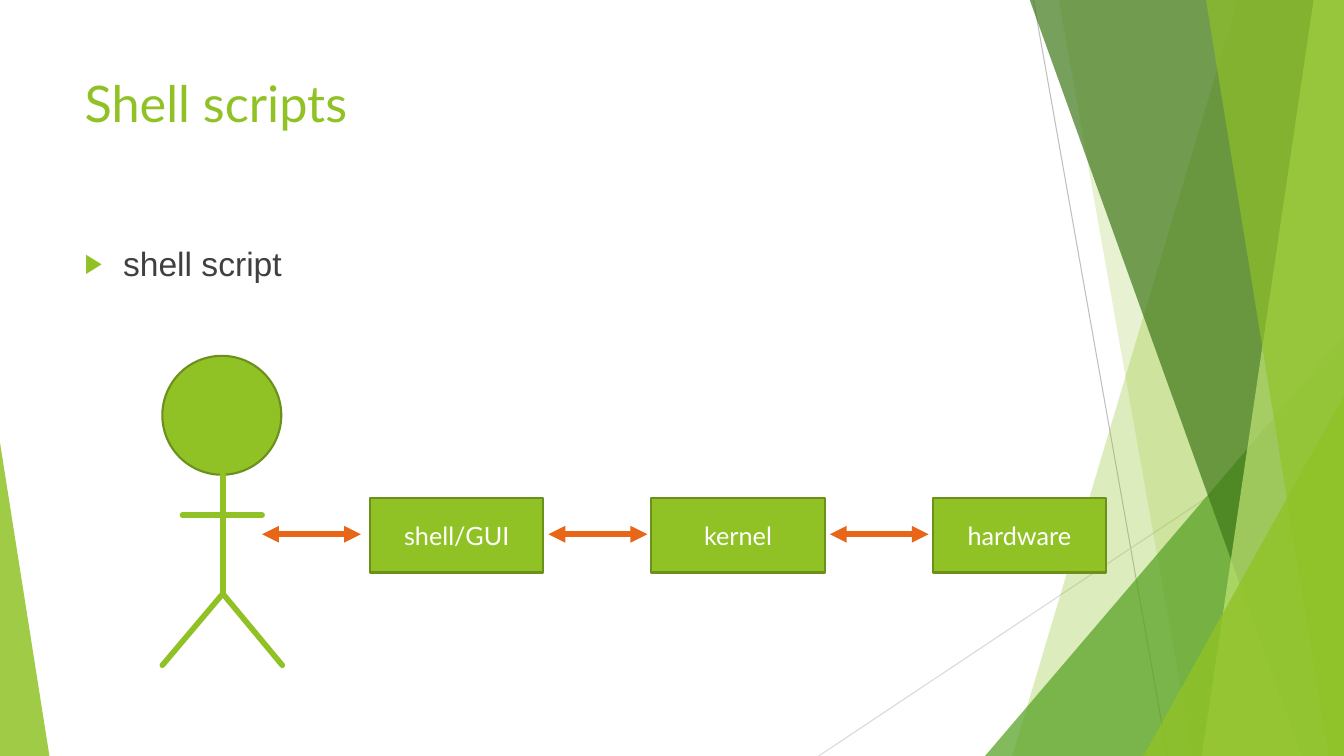
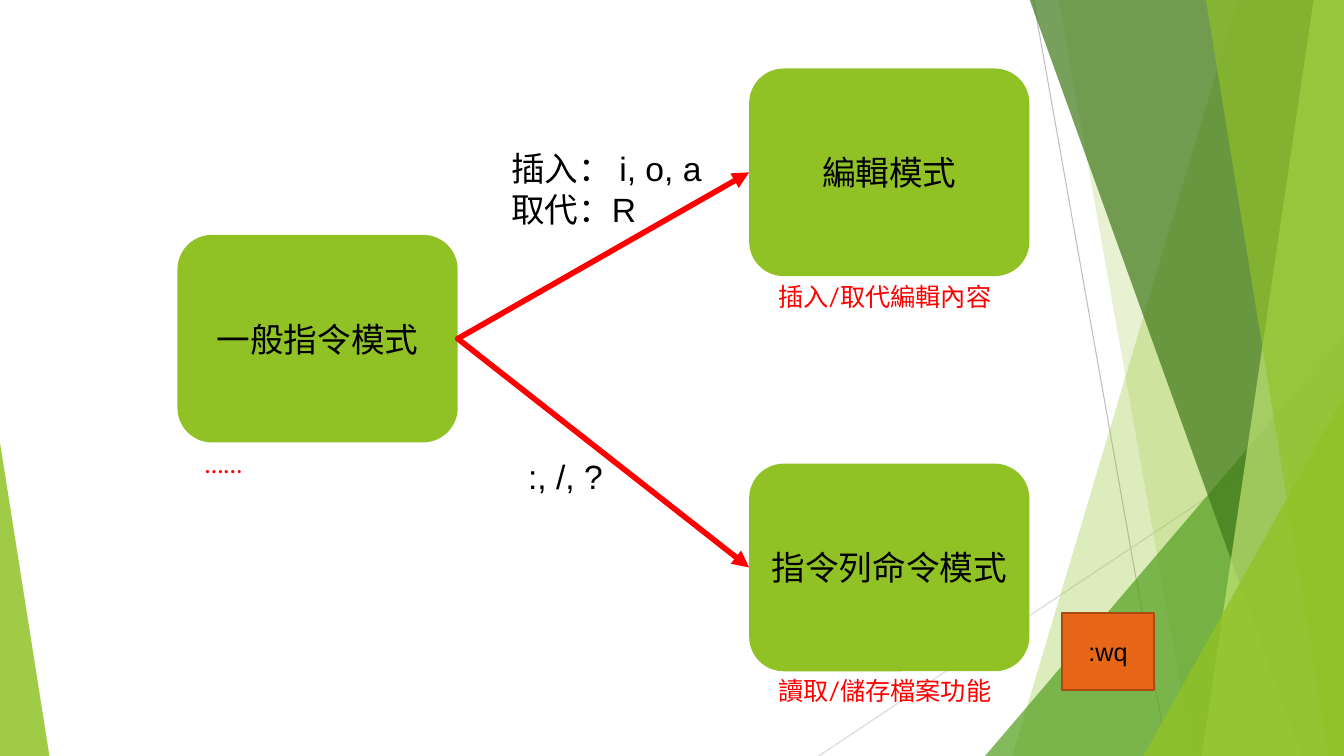
from lxml import etree
from pptx import Presentation
from pptx import util as u
from pptx.dml import color
from pptx.enum import shapes, text
from pptx.oxml import ns

Inches, Pt = u.Inches, u.Pt
SHAPE = shapes.MSO_SHAPE
GREEN, DARK_GREEN, ORANGE, RED = "90C226", "6B901C", "E76618", "FF0000"
BLACK, WHITE = "000000", "FFFFFF"
RIGHT_EDGE, BOTTOM_EDGE = 13.33, 7.5


def rgb(hex_color):
    return color.RGBColor.from_string(hex_color)


def add_line(slide, start, end, line_color, width=4, ends=()):
    """Draw a straight line; ends names the ends with an arrowhead."""
    connector = slide.shapes.add_connector(
        shapes.MSO_CONNECTOR.STRAIGHT, *(Inches(v) for v in (*start, *end)))
    connector.line.color.rgb = rgb(line_color)
    connector.line.width = Pt(width)
    properties = connector._element.spPr
    outline = properties.find(ns.qn("a:ln"))
    outline.set("cap", "rnd")
    for end_tag in ends:
        etree.SubElement(outline, ns.qn(end_tag), type="triangle")
    etree.SubElement(properties, ns.qn("a:effectLst"))
    return connector


deck = Presentation()
deck.slide_width, deck.slide_height = Inches(RIGHT_EDGE), Inches(BOTTOM_EDGE)
script_slide = deck.slides.add_slide(deck.slide_layouts[1])
modes_slide = deck.slides.add_slide(deck.slide_layouts[6])

# Shared background: thin lines and translucent facets, kept on the master
backdrop = [
    add_line(modes_slide, (10.25, 0), (11.58, 7.5), "BFBFBF", 0.75),
    add_line(modes_slide, (13.33, 4.03), (8.12, 7.5), "D9D9D9", 0.75),
]
# Bands give the top and bottom x of their slanted side,
# triangles give left, top, width and apex position
facets = [
    ((12.28, 10.04), GREEN, 30),
    ((10.5, 11.83), GREEN, 20),
    ((9.77, 3.33, 3.56, 1), "54A021", 72),
    ((10.21, 12.91), "3F7819", 70),
    ((13.03, 11.92), "C0E474", 70),
    ((11.96, 13.18), GREEN, 65),
    ((11.34, 3.93, 1.99, 1), GREEN, 80),
    ((0, 4.39, 0.49, 0), GREEN, 85),
]
for outline, fill, opacity in facets:
    if len(outline) == 2:
        top_x, bottom_x = (Inches(x) for x in outline)
        right, top, bottom = Inches(RIGHT_EDGE), Inches(-0.01), Inches(BOTTOM_EDGE)
        builder = modes_slide.shapes.build_freeform(top_x, top)
        builder.add_line_segments([(right, top), (right, bottom), (bottom_x, bottom)])
        facet = builder.convert_to_shape()
    else:
        left, top, width, apex = outline
        facet = modes_slide.shapes.add_shape(
            SHAPE.ISOSCELES_TRIANGLE, Inches(left), Inches(top),
            Inches(width), Inches(BOTTOM_EDGE - top))
        facet.adjustments[0] = apex
    facet.shadow.inherit = False
    facet.line.fill.background()
    facet.fill.solid()
    facet.fill.fore_color.rgb = rgb(fill)
    fill_color = facet._element.spPr.find(".//" + ns.qn("a:srgbClr"))
    etree.SubElement(fill_color, ns.qn("a:alpha"), val=str(opacity * 1000))
    backdrop.append(facet)

master_tree = deck.slide_master.shapes._spTree
for index, part in enumerate(backdrop):
    part._element.xpath(".//p:cNvPr")[0].set("id", str(100 + index))
    master_tree.insert(2 + index, part._element)

# Title and bullet
title, body = script_slide.placeholders
for holder, at, words, size, font, ink in [
    (title, (0.74, 0.67, 9.4, 1.44), "Shell scripts", 36, "Lato", GREEN),
    (body, (0.74, 2.36, 9.4, 4.24), "shell script", 24, "Arial", "404040"),
]:
    holder.left, holder.top, holder.width, holder.height = map(Inches, at)
    frame = holder.text_frame
    frame.text = words
    frame.auto_size = text.MSO_AUTO_SIZE.NONE
    frame.vertical_anchor = text.MSO_ANCHOR.TOP
    paragraph = frame.paragraphs[0]
    paragraph.alignment = text.PP_ALIGN.LEFT
    paragraph.space_before = Pt(0)
    if holder is body:
        layout = paragraph._p.get_or_add_pPr()
        layout.set("marL", str(Inches(0.38)))
        layout.set("indent", str(Inches(-0.38)))
        bullet_color = etree.SubElement(layout, ns.qn("a:buClr"))
        etree.SubElement(bullet_color, ns.qn("a:srgbClr"), val=GREEN)
        etree.SubElement(layout, ns.qn("a:buSzPct"), val="80000")
        etree.SubElement(layout, ns.qn("a:buFont"), typeface="Arial")
        etree.SubElement(layout, ns.qn("a:buChar"), char="▶")
    paragraph.font.name, paragraph.font.size = font, Pt(size)
    paragraph.font.color.rgb = rgb(ink)

# Boxes: the user's head, the system layers, the editor modes and the command
boxes = [(script_slide, SHAPE.OVAL, (1.61, 3.53, 1.18, 1.18),
          GREEN, DARK_GREEN, "", "Lato", 18, WHITE)]
for column, layer in enumerate(["shell/GUI", "kernel", "hardware"]):
    boxes.append((script_slide, SHAPE.RECTANGLE, (3.67 + 2.79 * column, 4.94, 1.72, 0.74),
                  GREEN, DARK_GREEN, layer, "Lato", 18, WHITE))
for left, top, mode in [(1.76, 2.33, "一般指令模式"), (7.43, 0.68, "編輯模式"),
                        (7.43, 4.6, "指令列命令模式")]:
    boxes.append((modes_slide, SHAPE.ROUNDED_RECTANGLE, (left, top, 2.78, 2.06),
                  GREEN, None, mode, "Lato", 24, BLACK))
boxes.append((modes_slide, SHAPE.RECTANGLE, (10.53, 6.08, 0.92, 0.77),
              ORANGE, "AB4B12", ":wq", "Arial", 18, BLACK))

box_by_label = {}
for slide, kind, at, fill, border, label, font, size, ink in boxes:
    box = slide.shapes.add_shape(kind, *map(Inches, at))
    box.shadow.inherit = False
    box.fill.solid()
    box.fill.fore_color.rgb = rgb(fill)
    if border:
        box.line.color.rgb = rgb(border)
        box.line.width = Pt(1.5)
    else:
        box.line.fill.background()
    if label:
        box.text_frame.text = label
        box.text_frame.vertical_anchor = text.MSO_ANCHOR.MIDDLE
        paragraph = box.text_frame.paragraphs[0]
        paragraph.alignment = text.PP_ALIGN.CENTER
        paragraph.font.name, paragraph.font.size = font, Pt(size)
        paragraph.font.color.rgb = rgb(ink)
    box_by_label[label] = box

# Stick figure: trunk, legs and arms
for start, end in [((2.21, 4.71), (2.21, 5.89)), ((2.21, 5.89), (1.61, 6.6)),
                   ((2.21, 5.89), (2.8, 6.6)), ((1.81, 5.11), (2.6, 5.11))]:
    add_line(script_slide, start, end, GREEN)

# Two-way arrows between the user and the layers
for left in (2.6, 5.44, 8.23):
    add_line(script_slide, (left, 5.3), (left + 0.98, 5.3), ORANGE,
             ends=("a:headEnd", "a:tailEnd"))

# Captions and key lists around the modes
for at, lines, font, size, ink in [
    ((7.62, 6.65, 2.39, 0.4), ["讀取/儲存檔案功能"], "Lato", 18, RED),
    ((7.62, 2.74, 2.39, 0.4), ["插入/取代編輯內容"], "Lato", 18, RED),
    ((1.93, 4.4, 2.39, 0.4), ["……"], "Lato", 18, RED),
    ((4.97, 1.42, 2.18, 0.91), ["插入： i, o, a", "取代：R"], "Arial", 24, BLACK),
    ((5.14, 4.47, 2.08, 0.5), [":, /, ?"], "Arial", 24, BLACK),
]:
    frame = modes_slide.shapes.add_textbox(*map(Inches, at)).text_frame
    frame.word_wrap = True
    frame.auto_size = text.MSO_AUTO_SIZE.SHAPE_TO_FIT_TEXT
    frame.text = "\n".join(lines)
    for paragraph in frame.paragraphs:
        paragraph.font.name, paragraph.font.size = font, Pt(size)
        paragraph.font.color.rgb = rgb(ink)

# Arrows from the normal mode to the other two
for mode, end_y in [("編輯模式", 1.71), ("指令列命令模式", 5.63)]:
    arrow = add_line(modes_slide, (4.54, 3.36), (7.43, end_y), RED, ends=("a:tailEnd",))
    arrow.begin_connect(box_by_label["一般指令模式"], 3)
    arrow.end_connect(box_by_label[mode], 1)

deck.save("out.pptx")
